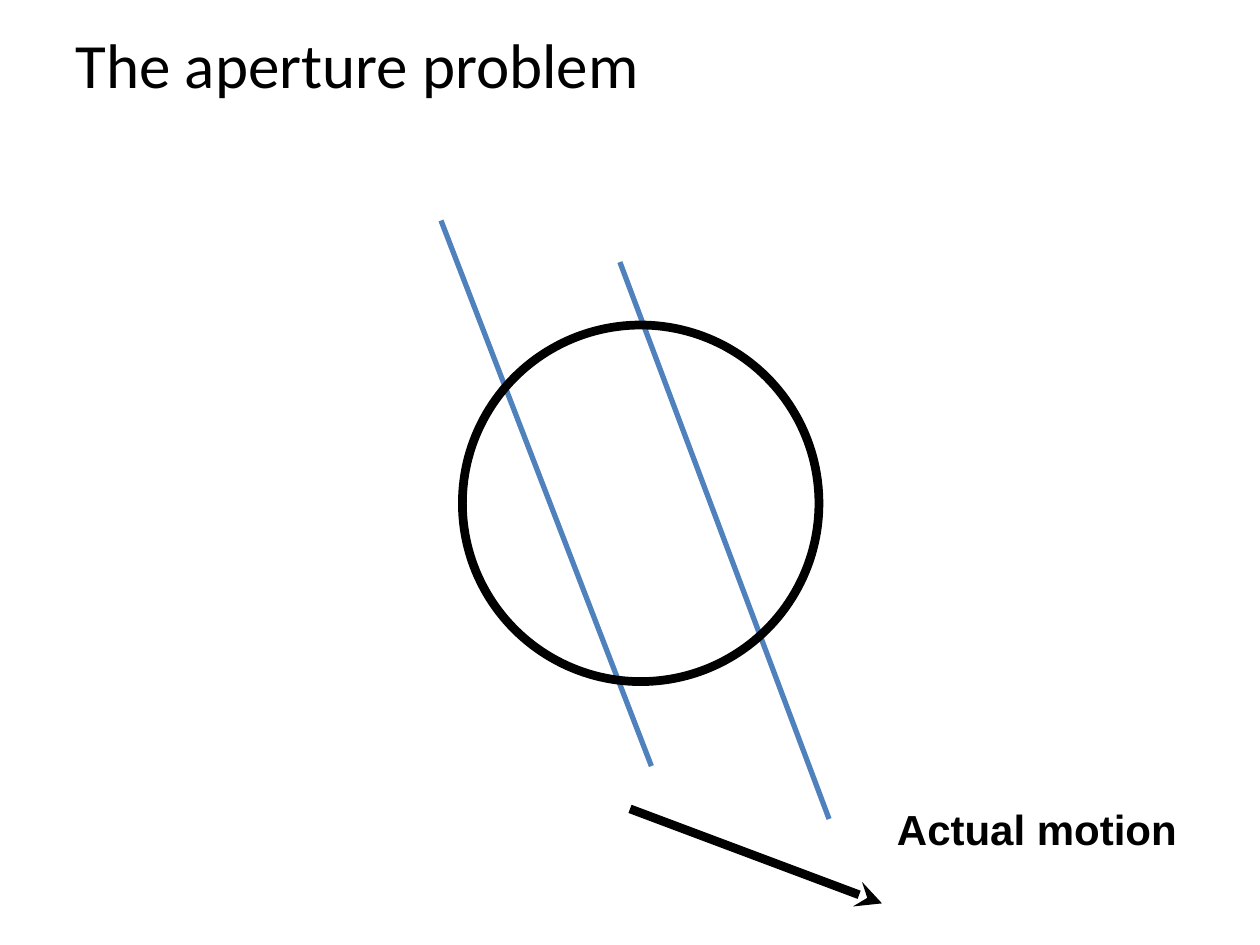
"""Build the aperture problem slide."""
from lxml import etree
from pptx import Presentation
from pptx.dml.color import RGBColor
from pptx.enum.shapes import MSO_CONNECTOR, MSO_SHAPE
from pptx.enum.text import MSO_ANCHOR, MSO_AUTO_SIZE, PP_ALIGN
from pptx.oxml.ns import qn
from pptx.util import Inches, Pt

STRAIGHT = MSO_CONNECTOR.STRAIGHT
OVAL = MSO_SHAPE.OVAL
MIDDLE = MSO_ANCHOR.MIDDLE
FIT_SHAPE = MSO_AUTO_SIZE.SHAPE_TO_FIT_TEXT
LEFT = PP_ALIGN.LEFT

COLORS = {"ink": "000000", "edge": "4F81BD", "page": "FFFFFF"}
TITLE = ("The aperture problem", (0.5, 0, 9, 1))
LABEL = ("Actual motion", (7.02, 6.33, 2.42, 0.5))
EDGES = [((3.5, 1.75), (5.17, 6.08)), ((4.92, 2.08), (6.58, 6.5))]
APERTURE = (3.67, 2.58, 2.83, 2.83)
MOTION = ((5, 6.42), (7, 7.17))


def rgb(name):
    return RGBColor.from_string(COLORS[name])


def place(sp, box):
    sp.left, sp.top, sp.width, sp.height = map(Inches, box)


def write(sp, text, *, font, size, bold=False, wrap=True, anchor=None):
    tf = sp.text_frame
    tf.word_wrap = wrap
    if anchor is not None:
        tf.vertical_anchor = anchor
    p = tf.paragraphs[0]
    p.alignment = LEFT
    r = p.add_run()
    r.text = text
    r.font.name, r.font.size, r.font.bold = font, Pt(size), bold
    r.font.color.rgb = rgb("ink")


def draw_line(s, start, end, color, width, arrow=None):
    line = s.shapes.add_connector(STRAIGHT, *map(Inches, start + end))
    line.line.color.rgb = rgb(color)
    line.line.width = Pt(width)
    if arrow:
        etree.SubElement(line.line._get_or_add_ln(), qn("a:tailEnd"), type=arrow)
    etree.SubElement(line._element.spPr, qn("a:effectLst"))


def main():
    prs = Presentation()
    prs.slide_width, prs.slide_height = Inches(10), Inches(7.5)
    s = prs.slides.add_slide(prs.slide_layouts[5])
    s.background.fill.solid()
    s.background.fill.fore_color.rgb = rgb("page")

    text, box = TITLE
    place(s.shapes.title, box)
    write(s.shapes.title, text, font="Calibri", size=36, anchor=MIDDLE)

    for start, end in EDGES:
        draw_line(s, start, end, "edge", 3)

    sp = s.shapes.add_shape(OVAL, *map(Inches, APERTURE))
    sp.shadow.inherit = False
    sp.fill.background()
    sp.line.color.rgb = rgb("ink")
    sp.line.width = Pt(5)

    draw_line(s, *MOTION, "ink", 5, arrow="stealth")

    text, box = LABEL
    sp = s.shapes.add_textbox(*map(Inches, box))
    write(sp, text, font="Arial", size=24, bold=True, wrap=False)
    sp.text_frame.auto_size = FIT_SHAPE

    prs.save("out.pptx")


if __name__ == "__main__":
    main()
